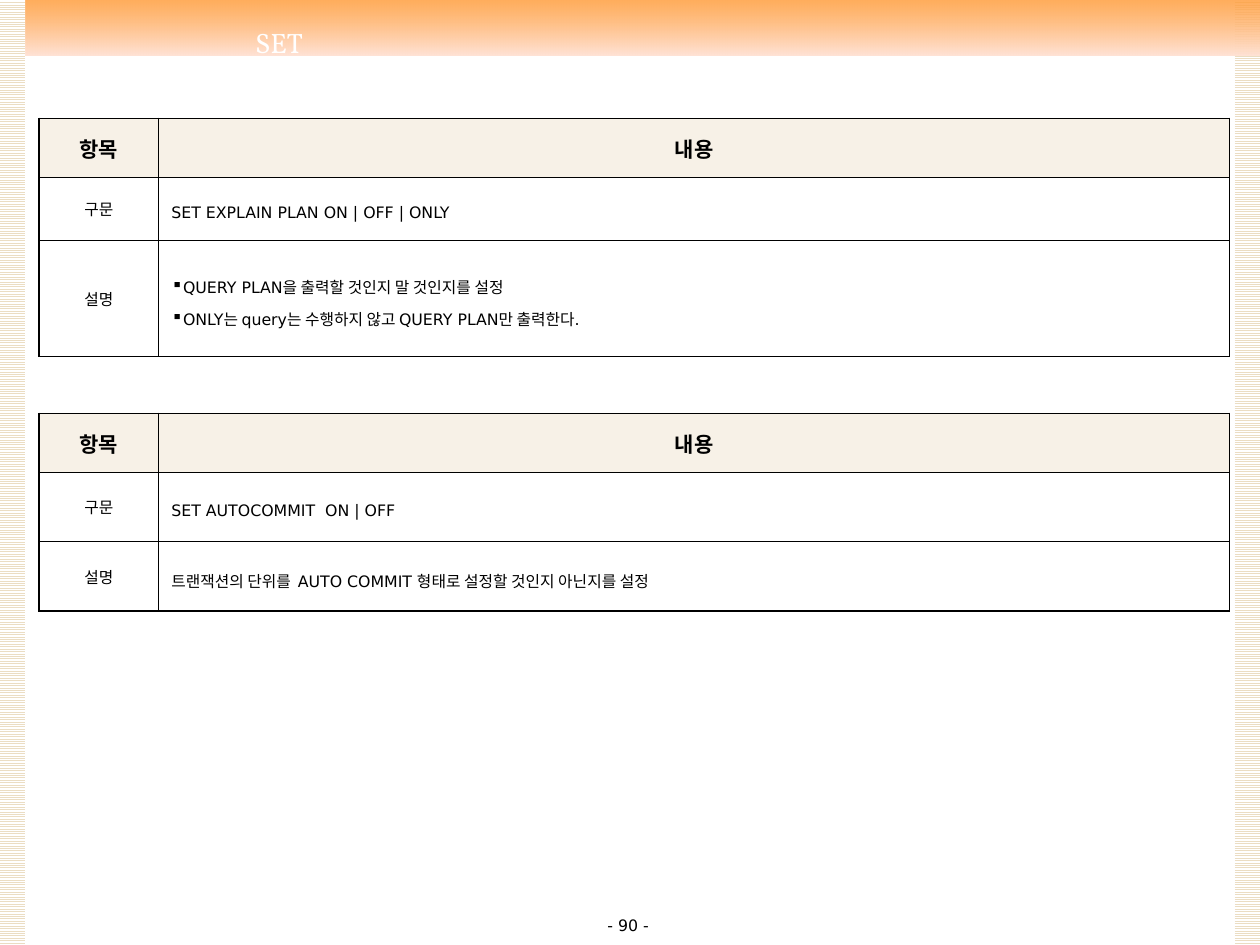
from dataclasses import dataclass

from lxml.etree import SubElement
from pptx import Presentation
from pptx.dml.color import RGBColor
from pptx.enum.dml import MSO_PATTERN
from pptx.enum.shapes import MSO_SHAPE
from pptx.enum.text import MSO_ANCHOR, PP_ALIGN
from pptx.oxml.ns import qn
from pptx.util import Inches, Pt


@dataclass(frozen=True)
class Theme:
    white: str = "FFFFFF"
    text: str = "000000"
    stripe: str = "EBDDC3"
    band_top: str = "FF9933"
    band_bottom: str = "FFE3D6"
    header: str = "F7F1E7"
    body_font: str = "DejaVu Sans"
    title_font: str = "Vollkorn"
    title_size: int = 16
    header_size: int = 12
    body_size: int = 9


THEME = Theme()
BULLET = "▪"


def color(value):
    return RGBColor.from_string(value)


def set_font(paragraph, size, name=THEME.body_font, fill=THEME.text, bold=False):
    font = paragraph.font
    font.name, font.size, font.bold = name, Pt(size), bold
    font.color.rgb = color(fill)


def add_rectangle(slide, *box):
    shape = slide.shapes.add_shape(MSO_SHAPE.RECTANGLE, *map(Inches, box))
    shape.shadow.inherit = False
    shape.line.fill.background()
    return shape


def add_stripes(slide, left):
    fill = add_rectangle(slide, left, 0, 0.21, 7.5).fill
    fill.patterned()
    fill.pattern = MSO_PATTERN.LIGHT_HORIZONTAL
    fill.fore_color.rgb = color(THEME.stripe)
    fill.back_color.rgb = color(THEME.white)


def add_band(slide):
    shape = add_rectangle(slide, -0.01, 0, 10.02, 0.44)
    shape.fill.gradient()
    shape.fill.gradient_angle = 270
    for stop, value in zip(shape.fill.gradient_stops, (THEME.band_top, THEME.band_bottom)):
        stop.color.rgb = color(value)
    # The upper stop is slightly transparent
    top_color = next(shape._element.spPr.iter(qn("a:srgbClr")))
    SubElement(top_color, qn("a:alpha"), val="80000")


def add_title(slide, text):
    title = slide.shapes.title
    title.left, title.top, title.width, title.height = map(Inches, (0.28, 0.16, 3.87, 0.36))
    frame = title.text_frame
    frame.text = text
    frame.vertical_anchor = MSO_ANCHOR.MIDDLE
    paragraph = frame.paragraphs[0]
    paragraph.alignment = PP_ALIGN.CENTER
    set_font(paragraph, THEME.title_size, THEME.title_font, THEME.white)


def add_page_number(slide, text):
    box = slide.shapes.add_textbox(*map(Inches, (3.82, 7.22, 2.33, 0.19)))
    box.text_frame.word_wrap = True
    paragraph = box.text_frame.paragraphs[0]
    paragraph.text = text
    paragraph.alignment = PP_ALIGN.CENTER
    set_font(paragraph, THEME.body_size)


def add_bullet(paragraph):
    properties = paragraph._p.get_or_add_pPr()
    indent = Inches(0.09)
    properties.set("marL", str(indent))
    properties.set("indent", str(-indent))
    bullet_color = SubElement(properties, qn("a:buClr"))
    SubElement(bullet_color, qn("a:srgbClr"), val=THEME.text)
    SubElement(properties, qn("a:buChar"), char=BULLET)


def add_borders(cell):
    properties = cell._tc.get_or_add_tcPr()
    for side in ("lnL", "lnR", "lnT", "lnB"):
        line = SubElement(properties, qn(f"a:{side}"), w=str(Pt(1)))
        fill = SubElement(line, qn("a:solidFill"))
        SubElement(fill, qn("a:srgbClr"), val=THEME.text)


def fill_cell(cell, lines, is_header, is_label):
    add_borders(cell)
    if is_header:
        cell.fill.solid()
        cell.fill.fore_color.rgb = color(THEME.header)
    else:
        cell.fill.background()
    cell.vertical_anchor = MSO_ANCHOR.MIDDLE
    cell.text = "\n".join(lines)
    for paragraph in cell.text_frame.paragraphs:
        if is_header or is_label:
            paragraph.alignment = PP_ALIGN.CENTER
        else:
            paragraph.line_spacing = 1.4
            if len(lines) > 1:
                add_bullet(paragraph)
        set_font(paragraph, THEME.header_size if is_header else THEME.body_size, bold=is_header)


def add_command_table(slide, top, heights, syntax, description):
    rows = [("항목", ["내용"]), ("구문", [syntax]), ("설명", description)]
    frame = slide.shapes.add_table(
        len(rows), 2, Inches(0.31), Inches(top), Inches(9.45), Inches(sum(heights)))
    table = frame.table
    table.first_row = table.horz_banding = False
    for column, width in zip(table.columns, (0.95, 8.5)):
        column.width = Inches(width)
    for index, (height, (label, lines)) in enumerate(zip(heights, rows)):
        table.rows[index].height = Inches(height)
        fill_cell(table.cell(index, 0), [label], index == 0, True)
        fill_cell(table.cell(index, 1), lines, index == 0, False)


def main():
    presentation = Presentation()
    presentation.slide_width, presentation.slide_height = Inches(10), Inches(7.5)
    slide = presentation.slides.add_slide(presentation.slide_layouts[5])

    # Page frame
    add_stripes(slide, 9.8)
    add_band(slide)
    add_stripes(slide, -0.01)
    add_page_number(slide, "- 90 -")

    # Title, raised above the band
    add_title(slide, "SET")
    slide.shapes._spTree.append(slide.shapes.title._element)

    # Command tables
    add_command_table(
        slide, 0.94, (0.47, 0.5, 0.92), "SET EXPLAIN PLAN ON | OFF | ONLY",
        ["QUERY PLAN을 출력할 것인지 말 것인지를 설정",
         "ONLY는 query는 수행하지 않고 QUERY PLAN만 출력한다."])
    add_command_table(
        slide, 3.28, (0.47, 0.55, 0.55), "SET AUTOCOMMIT  ON | OFF",
        ["트랜잭션의 단위를  AUTO COMMIT 형태로 설정할 것인지 아닌지를 설정"])

    presentation.save("out.pptx")


if __name__ == "__main__":
    main()
